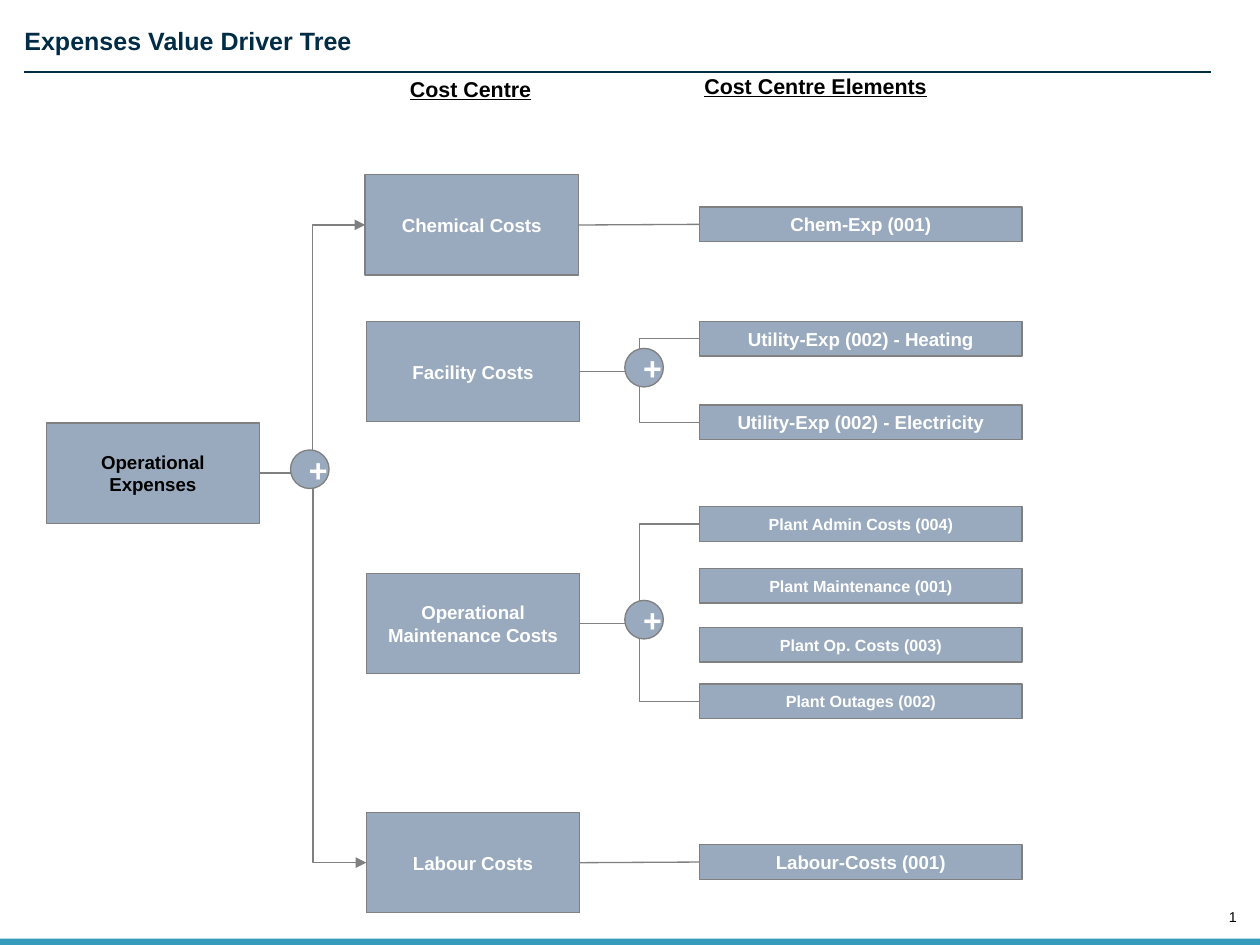
from lxml import etree
from pptx import Presentation
from pptx.dml.color import RGBColor
from pptx.enum.shapes import MSO_CONNECTOR, MSO_SHAPE
from pptx.enum.text import MSO_ANCHOR, PP_ALIGN
from pptx.oxml.ns import qn
from pptx.util import Inches, Pt

COLORS = {"navy": "002C46", "teal": "379BBD", "box": "99AABE",
          "line": "808080", "white": "FFFFFF", "black": "000000"}
RECT, ELLIPSE = MSO_SHAPE.RECTANGLE, MSO_SHAPE.OVAL
LEFT_SITE, RIGHT_SITE = 1, 3
CENTRE_SIZE, ELEMENT_SIZE = (1.66, 0.78), (2.51, 0.27)
ELEMENT_X = 5.44

# Each cost centre: name, left, top, element text size, (element, top) pairs
COST_CENTRES = [
    ("Chemical Costs", 2.84, 1.36, 10.5, [("Chem-Exp (001)", 1.61)]),
    ("Facility Costs", 2.85, 2.5, 10.5, [
        ("Utility-Exp (002) - Heating", 2.5),
        ("Utility-Exp (002) - Electricity", 3.15)]),
    ("Operational Maintenance Costs", 2.85, 4.46, 9, [
        ("Plant Admin Costs (004)", 3.94),
        ("Plant Maintenance (001)", 4.42),
        ("Plant Op. Costs (003)", 4.88),
        ("Plant Outages (002)", 5.32)]),
    ("Labour Costs", 2.85, 6.32, 10.5, [("Labour-Costs (001)", 6.57)]),
]


def rgb(name):
    return RGBColor.from_string(COLORS[name])


def write(shape, text, size, color, bold=True, underline=False, align=None):
    paragraph = shape.text_frame.paragraphs[0]
    paragraph.alignment = align
    run = paragraph.add_run()
    run.text = text
    font = run.font
    font.name, font.size, font.bold = "Arial", Pt(size), bold
    font.underline = underline
    font.color.rgb = rgb(color)


def add_label(slide, box, text, size, color, inset=True, wrap=True, **style):
    label = slide.shapes.add_textbox(*map(Inches, box))
    frame = label.text_frame
    frame.word_wrap = wrap
    if not inset:
        frame.margin_left = frame.margin_right = 0
        frame.margin_top = frame.margin_bottom = 0
    write(label, text, size, color, **style)
    return label


def add_node(slide, box, text, size=10.5, color="white", kind=RECT):
    node = slide.shapes.add_shape(kind, *map(Inches, box))
    node.shadow.inherit = False
    node.fill.solid()
    node.fill.fore_color.rgb = rgb("box")
    node.line.color.rgb = rgb("line")
    node.line.width = Pt(0.75)
    node.text_frame.word_wrap = True
    node.text_frame.vertical_anchor = MSO_ANCHOR.MIDDLE
    write(node, text, size, color, align=PP_ALIGN.CENTER)
    return node


def add_line(slide, kind, points, color):
    line = slide.shapes.add_connector(kind, *points)
    line.line.color.rgb = rgb(color)
    line.line.width = Pt(0.75)
    etree.SubElement(line._element.spPr, qn("a:effectLst"))
    return line


def link(slide, parent, child, kind=MSO_CONNECTOR.ELBOW, arrow=False):
    """Join the right side of parent to the left side of child."""
    points = (parent.left + parent.width, parent.top + parent.height // 2,
              child.left, child.top + child.height // 2)
    line = add_line(slide, kind, points, "line")
    line.begin_connect(parent, RIGHT_SITE)
    line.end_connect(child, LEFT_SITE)
    if arrow:
        etree.SubElement(line.line._get_or_add_ln(), qn("a:tailEnd"), type="triangle")


def add_plus(slide, left, top):
    add_node(slide, (left, top, 0.3, 0.3), "+", 18, kind=ELLIPSE)


def add_header(slide, left, top, width):
    add_label(slide, (left, top, width, 0.24), "Expenses Value Driver Tree",
              14, "navy", inset=False)
    rule = (left, top + 0.36, left + 9.23, top + 0.36)
    add_line(slide, MSO_CONNECTOR.STRAIGHT, map(Inches, rule), "navy")
    # Column headings
    for text, box in (("Cost Centre", (3.09, 0.54, 1.96, 0.3)),
                      ("Cost Centre Elements", (5.38, 0.52, 2.19, 0.3))):
        add_label(slide, box, text, 12, "black", underline=True)


def add_footer(slide, left, top, width, height):
    bar = slide.shapes.add_shape(RECT, *map(Inches, (left, top, width, height)))
    bar.shadow.inherit = False
    bar.fill.solid()
    bar.fill.fore_color.rgb = rgb("teal")
    bar.line.fill.background()
    number = add_label(slide, (left + width - 0.32, top - 0.23, 0.14, 0.13), "1", 8,
                       "black", inset=False, wrap=False, bold=False,
                       align=PP_ALIGN.RIGHT)
    number.text_frame.vertical_anchor = MSO_ANCHOR.BOTTOM


def add_cost_centre(slide, root, name, left, top, size, elements):
    centre = add_node(slide, (left, top, *CENTRE_SIZE), name)
    link(slide, root, centre, arrow=True) if len(elements) == 1 else None
    nodes = [add_node(slide, (ELEMENT_X, y, *ELEMENT_SIZE), text, size)
             for text, y in elements]
    if len(nodes) == 1:
        link(slide, centre, nodes[0], MSO_CONNECTOR.STRAIGHT)
    else:
        # Only the outermost elements are bracketed
        for node in (nodes[0], nodes[-1]):
            link(slide, centre, node)
        add_plus(slide, 4.86, top + 0.21)


def add_driver_tree(slide, left, top):
    root = add_node(slide, (left, top, *CENTRE_SIZE), "Operational Expenses",
                    color="black")
    for cost_centre in COST_CENTRES:
        add_cost_centre(slide, root, *cost_centre)
    add_plus(slide, left + 1.9, top + 0.21)


prs = Presentation()
prs.slide_width, prs.slide_height = Inches(9.8), Inches(7.35)
slide = prs.slides.add_slide(prs.slide_layouts[6])
add_footer(slide, 0, 7.3, 9.8, 0.05)
add_header(slide, 0.19, 0.2, 9.56)
add_driver_tree(slide, 0.36, 3.29)
prs.save("out.pptx")
